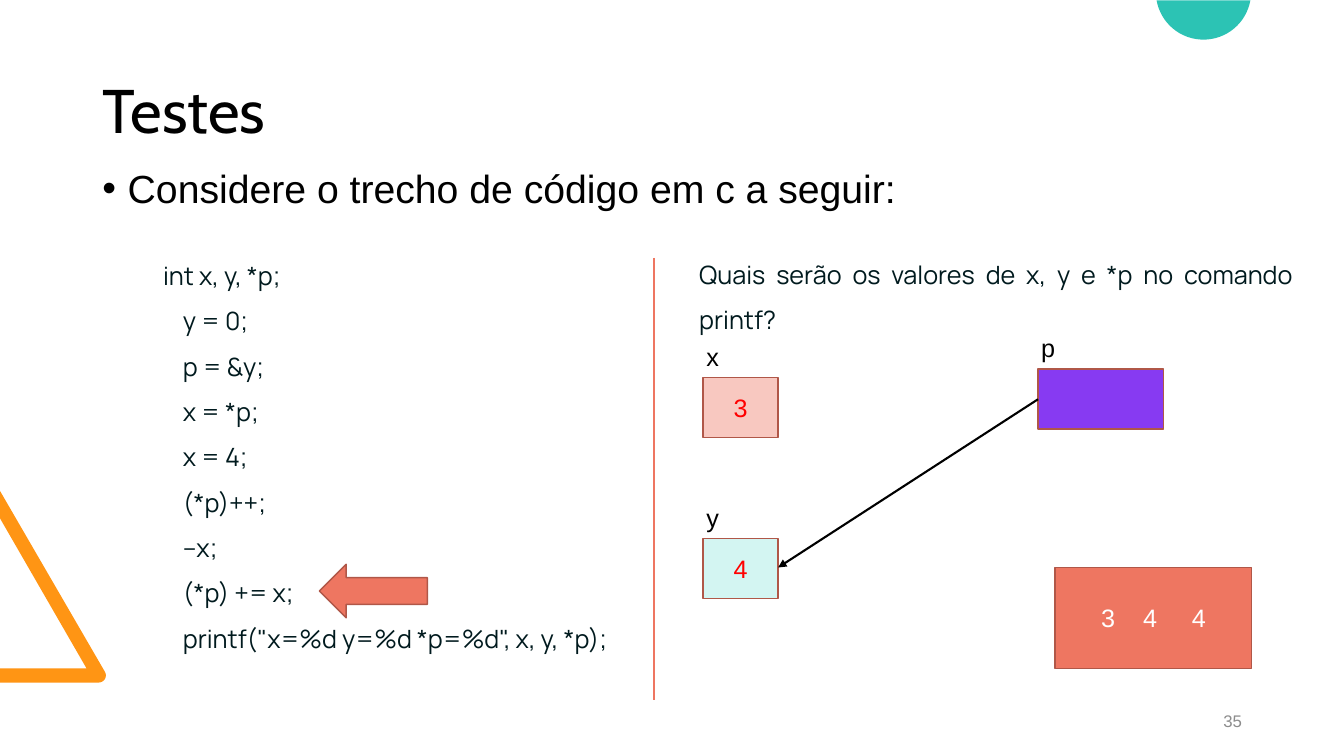
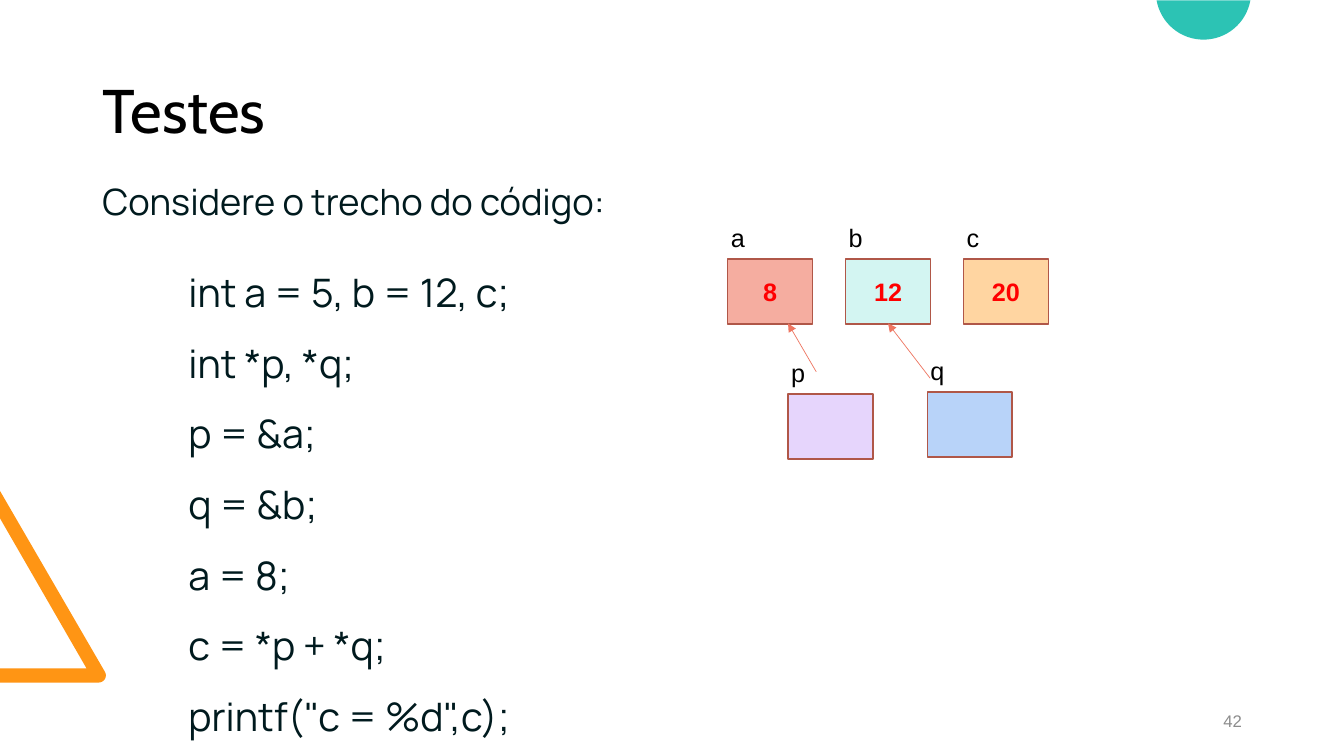
from math import cos, radians, sin

from lxml.etree import SubElement
from pptx import Presentation
from pptx.dml.color import RGBColor
from pptx.enum.shapes import MSO_CONNECTOR, MSO_SHAPE
from pptx.enum.text import MSO_ANCHOR, PP_ALIGN
from pptx.oxml.ns import qn
from pptx.util import Cm, Pt

BLACK = RGBColor(0x00, 0x00, 0x00)
WHITE = RGBColor(0xFF, 0xFF, 0xFF)
GRAY = RGBColor(0x8C, 0x8C, 0x8C)
INK = RGBColor(0x00, 0x1A, 0x1E)
RED = RGBColor(0xFF, 0x00, 0x00)
CORAL = RGBColor(0xEE, 0x76, 0x61)
BRICK = RGBColor(0xB0, 0x57, 0x48)
ORANGE = RGBColor(0xFF, 0x95, 0x14)
TEAL = RGBColor(0x2C, 0xC3, 0xB4)
PINK = RGBColor(0xF8, 0xC8, 0xC0)
SALMON = RGBColor(0xF5, 0xAD, 0xA0)
MINT = RGBColor(0xD3, 0xF5, 0xF2)
PEACH = RGBColor(0xFF, 0xD5, 0xA1)
VIOLET = RGBColor(0x87, 0x3A, 0xF2)
LILAC = RGBColor(0xE6, 0xD5, 0xFC)
SKY = RGBColor(0xB8, 0xD3, 0xF9)


def add_text(s, text, x, y, w, h, size=18, font="Arial", color=BLACK, spacing=1.0):
    """Add a wrapped text box and return its text frame."""
    tf = s.shapes.add_textbox(Cm(x), Cm(y), Cm(w), Cm(h)).text_frame
    tf.word_wrap = True
    tf.text = text
    for p in tf.paragraphs:
        p.line_spacing = spacing
        for r in p.runs:
            r.font.size, r.font.name = Pt(size), font
            r.font.color.rgb = color
    return tf


def add_box(s, x, y, w, h, fill, text="", color=RED, bold=False, kind=MSO_SHAPE.RECTANGLE):
    sp = s.shapes.add_shape(kind, Cm(x), Cm(y), Cm(w), Cm(h))
    sp.shadow.inherit = False
    sp.fill.solid()
    sp.fill.fore_color.rgb = fill
    sp.line.color.rgb = BRICK
    sp.line.width = Pt(1)
    if text:
        sp.text_frame.text = text
        p = sp.text_frame.paragraphs[0]
        p.alignment = PP_ALIGN.CENTER
        f = p.runs[0].font
        f.size, f.name, f.bold = Pt(18), "Arial", bold
        f.color.rgb = color
    return sp


prs = Presentation()
prs.slide_width, prs.slide_height = Cm(33.87), Cm(19.05)
layout = prs.slide_layouts[5]

# Title and page number
slides = []
for number in ("35", "42"):
    s = prs.slides.add_slide(layout)
    slides.append(s)
    title = s.shapes.title
    title.left, title.top, title.width, title.height = Cm(2.33), Cm(1.02), Cm(29.21), Cm(3.68)
    tf = title.text_frame
    tf.text = "Testes"
    tf.vertical_anchor = MSO_ANCHOR.MIDDLE
    p = tf.paragraphs[0]
    p.alignment, p.line_spacing = PP_ALIGN.LEFT, 0.9
    f = p.runs[0].font
    f.size, f.name = Pt(44), "Cabin"
    f.color.rgb = BLACK
    tf = add_text(s, number, 23.93, 17.65, 7.62, 1.02, 12, color=GRAY)
    tf.vertical_anchor = MSO_ANCHOR.MIDDLE
    tf.paragraphs[0].alignment = PP_ALIGN.RIGHT
pointer_slide, sum_slide = slides

# Corner ornaments, moved to the layout that both slides share
half_disc = [(30.33 + 1.2 * cos(radians(a)), max(0, 1.2 * sin(radians(a)) - 0.2))
             for a in range(10, 171, 5)]
round_tip = [(2.49 + 0.18 * cos(radians(a)), 17.02 + 0.18 * sin(radians(a)))
             for a in range(-30, 91, 15)]
triangle = [(0, 17.2), (0, 16.84), (2.18, 16.84), (0, 13.06), (0, 12.37)] + round_tip
for points, color in ((triangle, ORANGE), (half_disc, TEAL)):
    corners = [(Cm(x), Cm(y)) for x, y in points]
    builder = pointer_slide.shapes.build_freeform(*corners[0])
    builder.add_line_segments(corners[1:], close=True)
    sp = builder.convert_to_shape()
    sp.shadow.inherit = False
    sp.fill.solid()
    sp.fill.fore_color.rgb = color
    sp.line.fill.background()
    layout.shapes.element.append(sp.element)

# Slide 35: code, question and answer
s = pointer_slide
tf = add_text(s, "Considere o trecho de código em c a seguir:", 2.33, 4.14, 29.21, 1.91, 28, spacing=0.9)
p = tf.paragraphs[0]
p.space_before = Pt(10)
pPr = p._p.get_or_add_pPr()
pPr.set("marL", str(Cm(0.64)))
pPr.set("indent", str(-Cm(0.64)))
SubElement(pPr, qn("a:buFont")).set("typeface", "Arial")
SubElement(pPr, qn("a:buChar")).set("char", "•")

code = ["int x, y, *p;", "y = 0;", "p = &y;", "x = *p;", "x = 4;", "(*p)++;", "--x;",
        "(*p) += x;", 'printf("x=%d y=%d *p=%d", x, y, *p);']
tf = add_text(s, "\n".join(code), 3.86, 6.05, 12.4, 12.24, 18, "Manrope", INK, 1.5)
for p in tf.paragraphs[1:]:
    p._p.get_or_add_pPr().set("marL", str(Cm(0.5)))
add_box(s, 8.05, 14.22, 2.72, 1.35, CORAL, kind=MSO_SHAPE.LEFT_ARROW)

tf = add_text(s, "Quais serão os valores de x, y e *p no comando printf?",
              17.37, 6.02, 15.47, 2.44, 18, "Manrope", INK, 1.5)
tf.paragraphs[0].alignment = PP_ALIGN.JUSTIFY

answer = add_box(s, 26.59, 14.3, 4.95, 2.54, CORAL, "\t3\t4\t4", WHITE)
p = answer.text_frame.paragraphs[0]
p.alignment = PP_ALIGN.LEFT
tabs = SubElement(p._p.get_or_add_pPr(), qn("a:tabLst"))
for stop in (0.91, 1.97, 3.2):
    tab = SubElement(tabs, qn("a:tab"))
    tab.set("pos", str(Cm(stop)))
    tab.set("algn", "l")

# Slide 42: code
s = sum_slide
tf = add_text(s, "Considere o trecho do código:", 2.33, 3.73, 29.21, 1.91, 25.9, "Manrope", INK, 1.6)
tf.paragraphs[0].space_before = Pt(10)
code = ["int a = 5, b = 12, c;", "int *p, *q;", "p = &a;", "q = &b;", "a = 8;",
        "c = *p + *q;", 'printf("c = %d",c);']
add_text(s, "\n".join(code), 4.5, 6.05, 10, 12.9, 28, "Manrope", INK, 1.5)

# Variables in memory: name above, value inside
pointer_vars = [("x", 17.72, 9.52, 1.89, PINK, "3"),
                ("y", 17.72, 13.57, 1.89, MINT, "4"),
                ("p", 26.16, 9.3, 3.16, VIOLET, "")]
sum_vars = [(name, 18.34 + 2.97 * i, 6.53, 2.14, fill, value) for i, (name, fill, value)
            in enumerate((("a", SALMON, "8"), ("b", MINT, "12"), ("c", PEACH, "20")))]
sum_vars += [("p", 19.86, 9.93, 2.14, LILAC, ""), ("q", 23.37, 9.88, 2.14, SKY, "")]
for s, variables, h, bold in ((pointer_slide, pointer_vars, 1.51, False),
                              (sum_slide, sum_vars, 1.64, True)):
    for name, x, y, w, fill, value in variables:
        add_box(s, x, y, w, h, fill, value, bold=bold)
        add_text(s, name, x - 0.17, y - 1.04, 1, 1.02)

# Divider and pointer arrows
lines = [(pointer_slide, 16.48, 6.5, 16.48, 17.65, CORAL, 1.5, False),
         (pointer_slide, 26.16, 10.06, 19.61, 14.3, BLACK, 1.5, True),
         (sum_slide, 20.57, 9.37, 19.86, 8.15, CORAL, 0.5, True),
         (sum_slide, 23.44, 9.53, 22.38, 8.15, CORAL, 0.5, True)]
for s, x1, y1, x2, y2, color, width, arrow in lines:
    line = s.shapes.add_connector(MSO_CONNECTOR.STRAIGHT, Cm(x1), Cm(y1), Cm(x2), Cm(y2))
    line.line.color.rgb = color
    line.line.width = Pt(width)
    if arrow:
        SubElement(line.line._get_or_add_ln(), qn("a:tailEnd")).set("type", "triangle")
    SubElement(line.element.spPr, qn("a:effectLst"))

prs.save("out.pptx")
